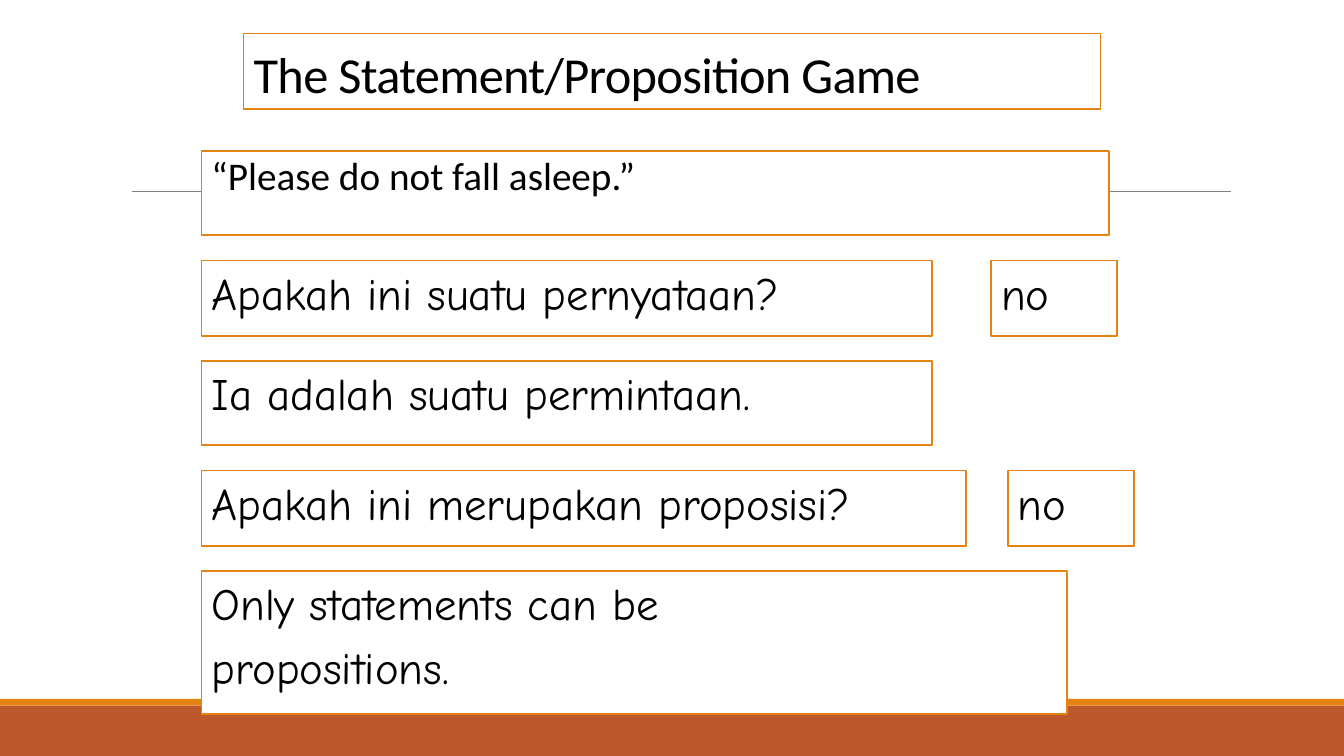
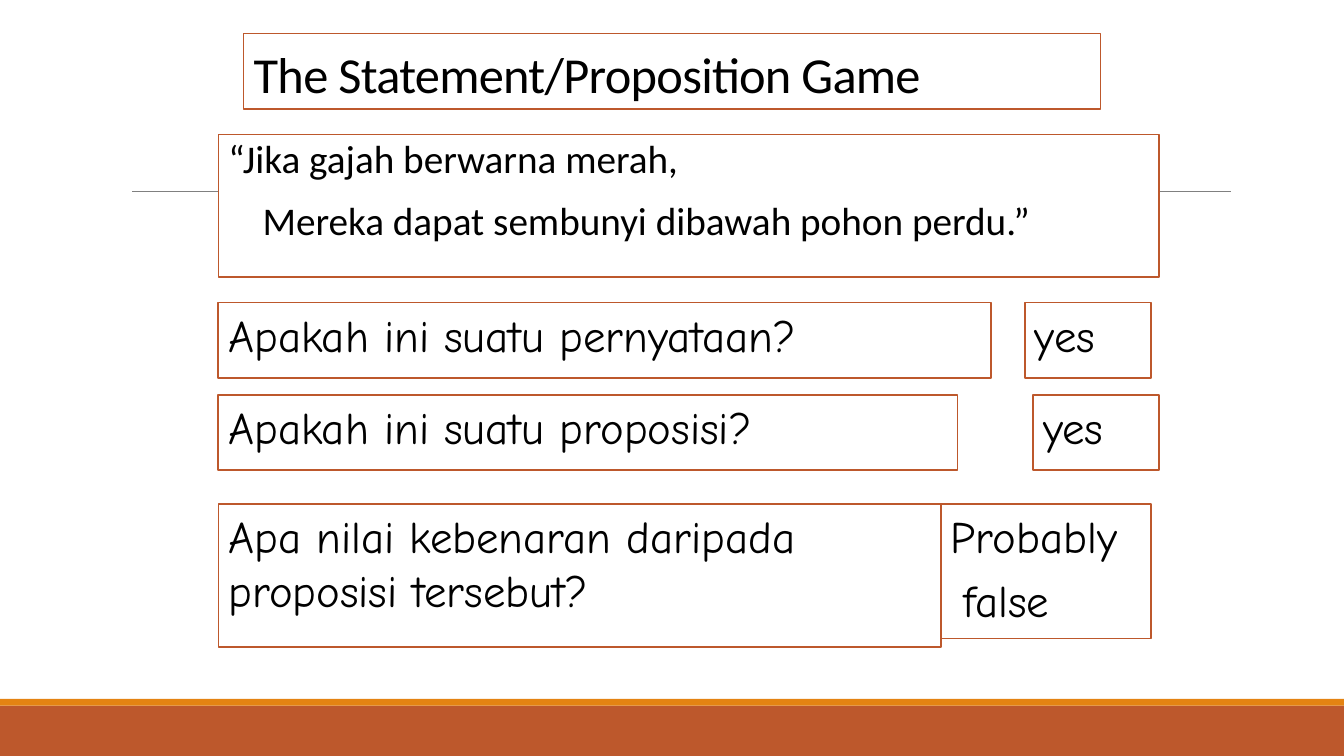
"""Builds two slides of the statement and proposition game."""
from lxml import etree
from pptx import Presentation, util as u
from pptx.dml.color import RGBColor
from pptx.enum import shapes, text

RUST, GOLD, GREY, BLACK, WHITE = "BD582C", "E48312", "808080", "000000", "FFFFFF"
SANS, HAND = "Calibri", "Comic Neue"
MAIN = "http://schemas.openxmlformats.org/drawingml/2006/main"

deck = Presentation()
deck.slide_width, deck.slide_height = u.Inches(13.33), u.Inches(7.5)
COL, ROW = deck.slide_width / 160, deck.slide_height / 90


def paint(part, hue):
    part.solid()
    part.fore_color.rgb = RGBColor.from_string(hue)


def frame(box, place, lines, edge, face, size):
    left, top, wide, high = place
    box.left, box.top = round(left * COL), round(top * ROW)
    box.width, box.height = round(wide * COL), round(high * ROW)
    paint(box.fill, WHITE)
    paint(box.line.fill, edge)
    box.line.width = u.Pt(1.25)
    body = box.text_frame
    body.text = lines
    body.word_wrap = True
    body.auto_size = text.MSO_AUTO_SIZE.NONE
    for para in body.paragraphs:
        para.alignment = text.PP_ALIGN.LEFT
        for run in para.runs:
            run.font.name, run.font.size = face, u.Pt(size)
            paint(run.font.fill, BLACK)
    return body


pages = [
    (GOLD, (24, 18, 108, 10), "“Please do not fall asleep.”", [
        ((24, 31, 87, 9), "Apakah ini suatu pernyataan?", 0),
        ((118, 31, 15, 9), "no", 0),
        ((24, 56, 91, 9), "Apakah ini merupakan proposisi?", 0),
        ((120, 56, 15, 9), "no", 0),
        ((24, 68, 103, 17), "Only statements can be\npropositions.", 0),
        ((24, 43, 87, 10), "Ia adalah suatu permintaan.", 0)]),
    (RUST, (26, 16, 112, 17),
     "“Jika gajah berwarna merah,\nMereka dapat sembunyi dibawah pohon perdu.”", [
        ((26, 36, 92, 9), "Apakah ini suatu pernyataan?", 0),
        ((122, 36, 15, 9), "yes", 0),
        ((26, 47, 88, 9), "Apakah ini suatu proposisi?", 0),
        ((123, 47, 15, 9), "yes", 0),
        ((26, 60, 86, 17), "Apa nilai kebenaran daripada proposisi tersebut?", 0),
        ((112, 60, 25, 16), "Probably\nfalse", 0.13)]),
]

base = deck.slide_layouts[5]
slides = [deck.slides.add_slide(base) for page in pages]

decor = []
for hue, top, high in [(RUST, 84, 6), (GOLD, 83.2, 0.8)]:
    band = slides[0].shapes.add_shape(
        shapes.MSO_SHAPE.RECTANGLE, 0, round(top * ROW), deck.slide_width, round(high * ROW))
    paint(band.fill, hue)
    band.line.fill.background()
    band.shadow.inherit = False
    decor.append(band)
rule = slides[0].shapes.add_connector(
    shapes.MSO_CONNECTOR.STRAIGHT, round(15.75 * COL), round(22.8 * ROW),
    round(146.5 * COL), round(22.8 * ROW))
paint(rule.line.fill, GREY)
rule.line.width = u.Pt(0.5)
etree.SubElement(rule.element.spPr, f"{{{MAIN}}}effectLst")
decor.append(rule)
for spot, item in enumerate(decor, 2):
    base.shapes.element.insert(spot, item.element)

for slide, (edge, place, quote, boxes) in zip(slides, pages):
    title = frame(slide.shapes.title, (29, 4, 102, 9),
                  "The Statement/Proposition Game", edge, SANS, 36)
    title.vertical_anchor = text.MSO_ANCHOR.BOTTOM
    head = title.paragraphs[0]
    head.line_spacing = 0.85
    head.runs[0].font._element.set("spc", "-50")

    body = frame(slide.shapes.add_textbox(0, 0, 0, 0), place, quote, edge, SANS, 28)
    body.margin_right = 0
    for para in body.paragraphs:
        para.line_spacing, para.space_after = 0.9, u.Pt(2)
    for para in body.paragraphs[1:]:
        para.space_before = u.Pt(12)
        para._p.get_or_add_pPr().set("marL", str(u.Inches(0.34)))

    for spot, words, inset in boxes:
        body = frame(slide.shapes.add_textbox(0, 0, 0, 0), spot, words, edge, HAND, 32)
        for para in body.paragraphs[1:]:
            para.space_before = u.Pt(7)
            para._p.get_or_add_pPr().set("marL", str(u.Inches(inset)))

deck.save("out.pptx")
